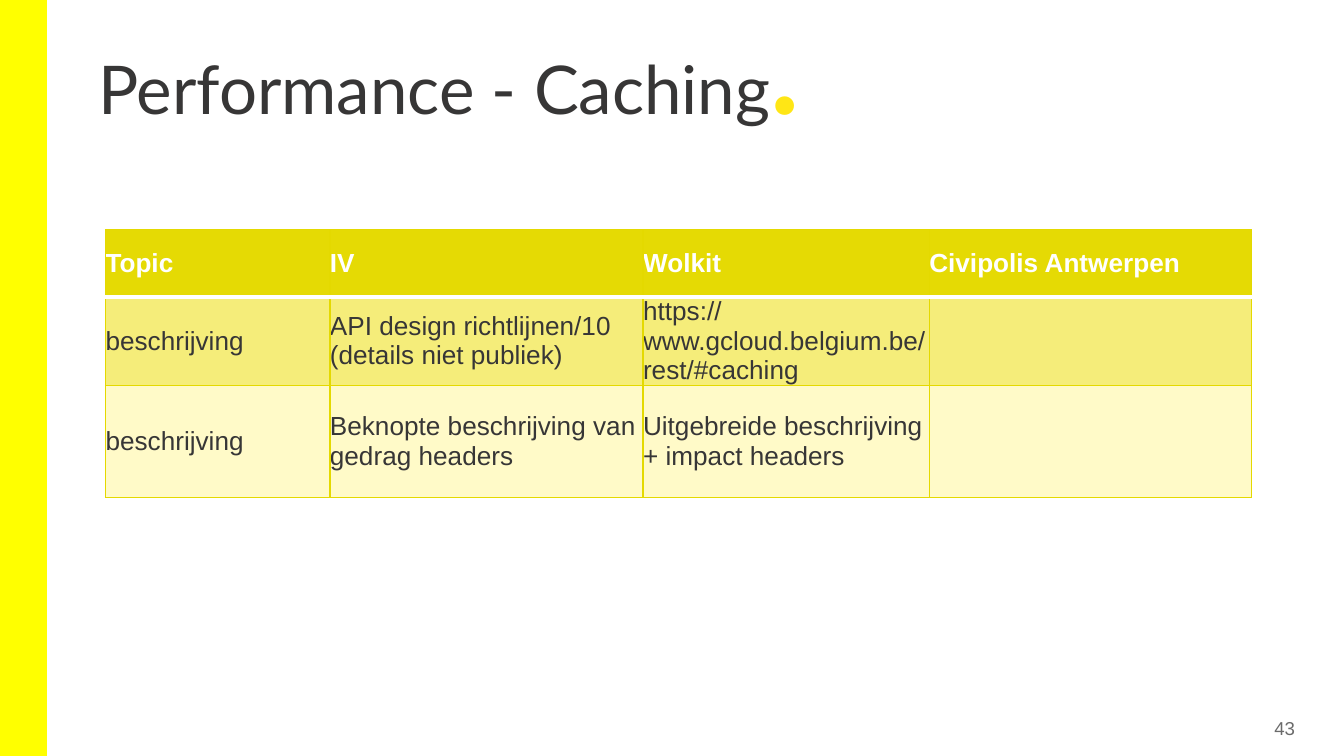
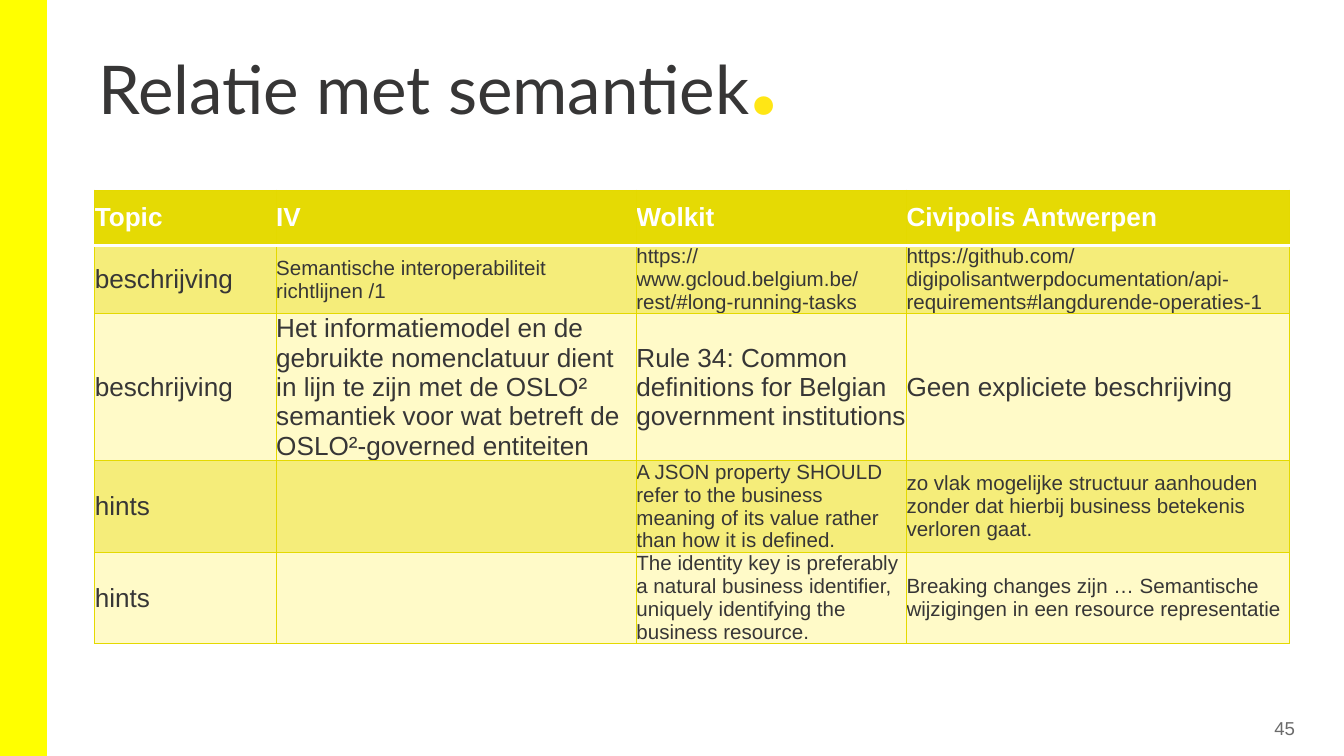
from lxml import etree
from pptx import Presentation
from pptx import util as u
from pptx.dml.color import RGBColor
from pptx.enum import shapes, text
from pptx.oxml import ns

COLOURS = {
    "band": "FFFF00", "dot": "FFE615", "ink": "373636", "page": "6B6B6B",
    "header": "E5DA04", "odd": "F5ED7A", "even": "FFFAC8",
    "grid": "E4D900", "white": "FFFFFF",
}
HEADINGS = ["Topic", "IV", "Wolkit", "Civipolis Antwerpen"]
BODY, SMALL = 14, 11

# Lengths are percentages of the slide's width and height.
# A body cell is a text, or a text with its own size.
PAGES = [
    {
        "title": "Performance - Caching", "number": "43",
        "corner": (7.85, 30.4),
        "columns": [16.7, 23.3, 21.3, 24],
        "rows": [8.9, 10, 14.9],
        "body": [
            ["beschrijving", "API design richtlijnen/10\n(details niet publiek)",
             "https://www.gcloud.belgium.be/rest/#caching", ""],
            ["beschrijving", "Beknopte beschrijving van gedrag headers",
             "Uitgebreide beschrijving + impact headers", ""],
        ],
    },
    {
        "title": "Relatie met semantiek", "number": "45",
        "corner": (7.05, 25.15),
        "columns": [13.5, 26.8, 20.1, 28.5],
        "rows": [7.3, 7.3, 10, 10, 10],
        "body": [
            ["beschrijving",
             ("Semantische interoperabiliteit richtlijnen /1", SMALL),
             ("https://www.gcloud.belgium.be/rest/#long-running-tasks", SMALL),
             ("https://github.com/digipolisantwerpdocumentation/"
              "api-requirements#langdurende-operaties-1", SMALL)],
            ["beschrijving",
             "Het informatiemodel en de gebruikte nomenclatuur dient in lijn te "
             "zijn met de OSLO² semantiek voor wat betreft de OSLO²-governed "
             "entiteiten",
             "Rule 34: Common definitions for Belgian government institutions",
             "Geen expliciete beschrijving"],
            ["hints", "",
             ("A JSON property SHOULD refer to the business meaning of its "
              "value rather than how it is defined.", SMALL),
             ("zo vlak mogelijke structuur aanhouden zonder dat hierbij "
              "business betekenis verloren gaat.", SMALL)],
            ["hints", "",
             ("The identity key is preferably a natural business identifier, "
              "uniquely identifying the business resource.", SMALL),
             ("Breaking changes zijn … Semantische wijzigingen in een resource "
              "representatie", SMALL)],
        ],
    },
]

# Widescreen, 16 to 9
deck = Presentation()
deck.slide_width = u.Inches(10)
deck.slide_height = deck.slide_width * 9 // 16


def place(left, top, width, height):
    across, down = deck.slide_width / 100, deck.slide_height / 100
    return [int(left * across), int(top * down), int(width * across), int(height * down)]


def write(paragraph, words, colour, **font):
    run = paragraph.add_run()
    run.text = words
    run.font.color.rgb = RGBColor.from_string(COLOURS[colour])
    for key, value in font.items():
        setattr(run.font, key, value)


for page in PAGES:
    slide = deck.slides.add_slide(deck.slide_layouts[5])

    # Yellow band on the left
    band = slide.shapes.add_shape(shapes.MSO_SHAPE.RECTANGLE, *place(0, 0, 3.5, 100))
    band.shadow.inherit = False
    band.fill.solid()
    band.fill.fore_color.rgb = RGBColor.from_string(COLOURS["band"])
    band.line.fill.background()

    # Title with its yellow full stop
    title = slide.shapes.title
    title.left, title.top, title.width, title.height = place(6.3, -3.45, 91.4, 16.2)
    heading = title.text_frame
    heading.paragraphs[0].alignment = text.PP_ALIGN.LEFT
    heading.paragraphs[0].line_spacing = 1.03
    write(heading.paragraphs[0], page["title"], "ink", name="Lato", size=u.Pt(36))
    write(heading.paragraphs[0], ".", "dot", name="Lato", size=u.Pt(66), bold=True)

    # Page number
    number = slide.shapes.add_textbox(*place(89.25, 94.5, 7.5, 3.7)).text_frame
    number.paragraphs[0].alignment = text.PP_ALIGN.RIGHT
    write(number.paragraphs[0], page["number"], "page", name="Arial", size=u.Pt(10))

    for frame, inset, anchor in [(heading, 0.1, text.MSO_ANCHOR.TOP),
                                 (number, 0.04, text.MSO_ANCHOR.MIDDLE)]:
        settings = {"word_wrap": True, "auto_size": text.MSO_AUTO_SIZE.NONE,
                    "vertical_anchor": anchor}
        for side in ["left", "right", "top", "bottom"]:
            settings["margin_" + side] = u.Inches(inset)
        for key, value in settings.items():
            setattr(frame, key, value)

    # Comparison table
    comparison = slide.shapes.add_table(
        len(page["rows"]), len(page["columns"]),
        *place(*page["corner"], sum(page["columns"]), sum(page["rows"]))).table
    comparison.horz_banding = False
    for column, share in zip(comparison.columns, page["columns"]):
        column.width = int(deck.slide_width * share / 100)
    for row, share in zip(comparison.rows, page["rows"]):
        row.height = int(deck.slide_height * share / 100)

    for r, entries in enumerate([HEADINGS] + page["body"]):
        is_header = r == 0
        fill = "header" if is_header else "odd" if r % 2 else "even"
        for c, entry in enumerate(entries):
            words, size = entry if isinstance(entry, tuple) else (entry, BODY)
            cell = comparison.cell(r, c)
            cell.vertical_anchor = text.MSO_ANCHOR.MIDDLE
            for side in ["left", "right", "top", "bottom"]:
                setattr(cell, "margin_" + side, 0)

            # Borders: a white rule parts the header from the body
            for edge in "LRTB":
                is_rule = (r, edge) in [(0, "B"), (1, "T")]
                line = etree.SubElement(cell._tc.get_or_add_tcPr(), ns.qn("a:ln" + edge),
                                        w=str(u.Pt(2 if is_rule else 0.75)))
                solid = etree.SubElement(line, ns.qn("a:solidFill"))
                etree.SubElement(solid, ns.qn("a:srgbClr"),
                                 val=COLOURS["white" if is_rule else "grid"])
            cell.fill.solid()
            cell.fill.fore_color.rgb = RGBColor.from_string(COLOURS[fill])

            for i, part in enumerate(words.split("\n") if words else []):
                frame = cell.text_frame
                paragraph = frame.add_paragraph() if i else frame.paragraphs[0]
                write(paragraph, part, "white" if is_header else "ink",
                      name="Arial", size=u.Pt(size), bold=is_header)

deck.save("out.pptx")
